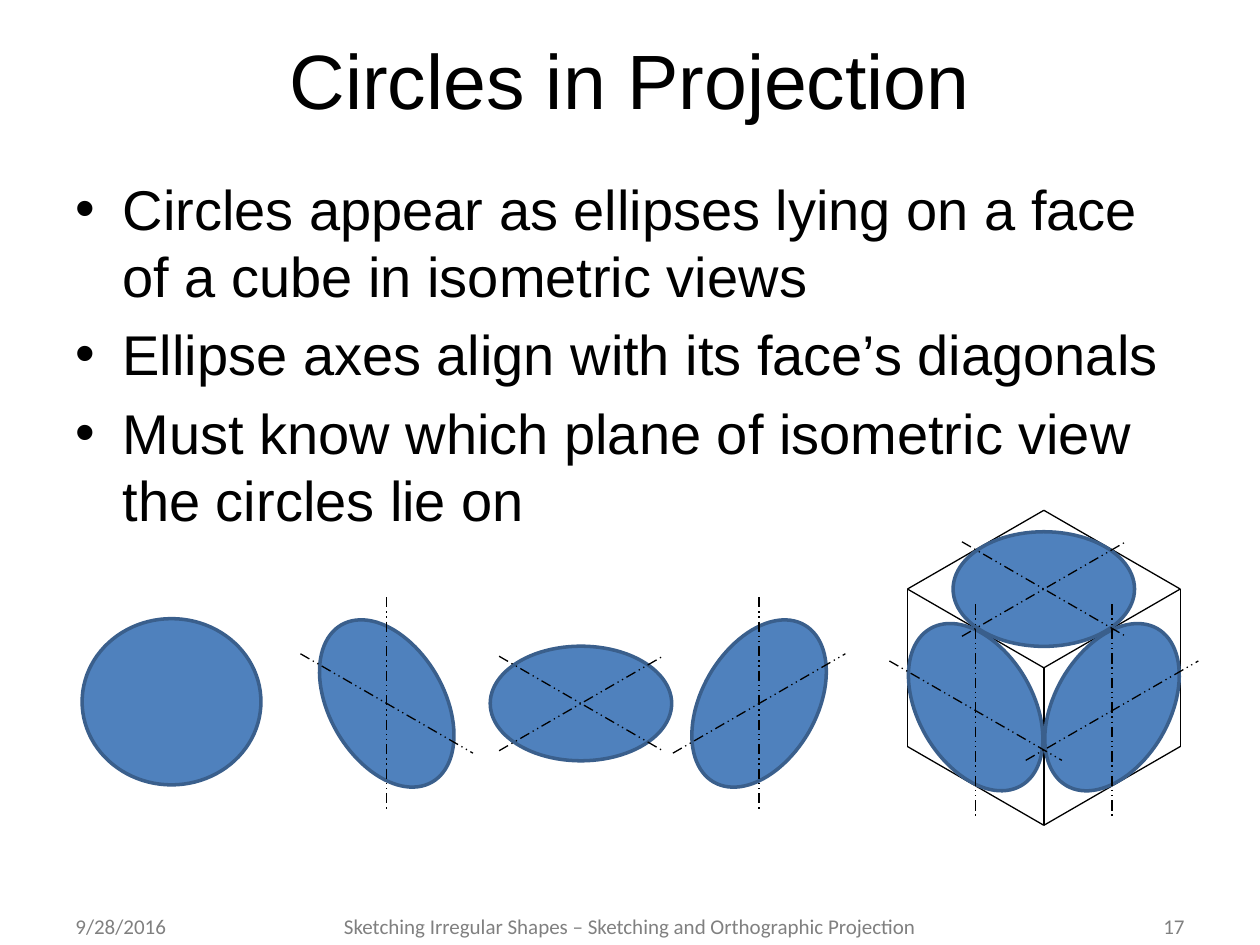
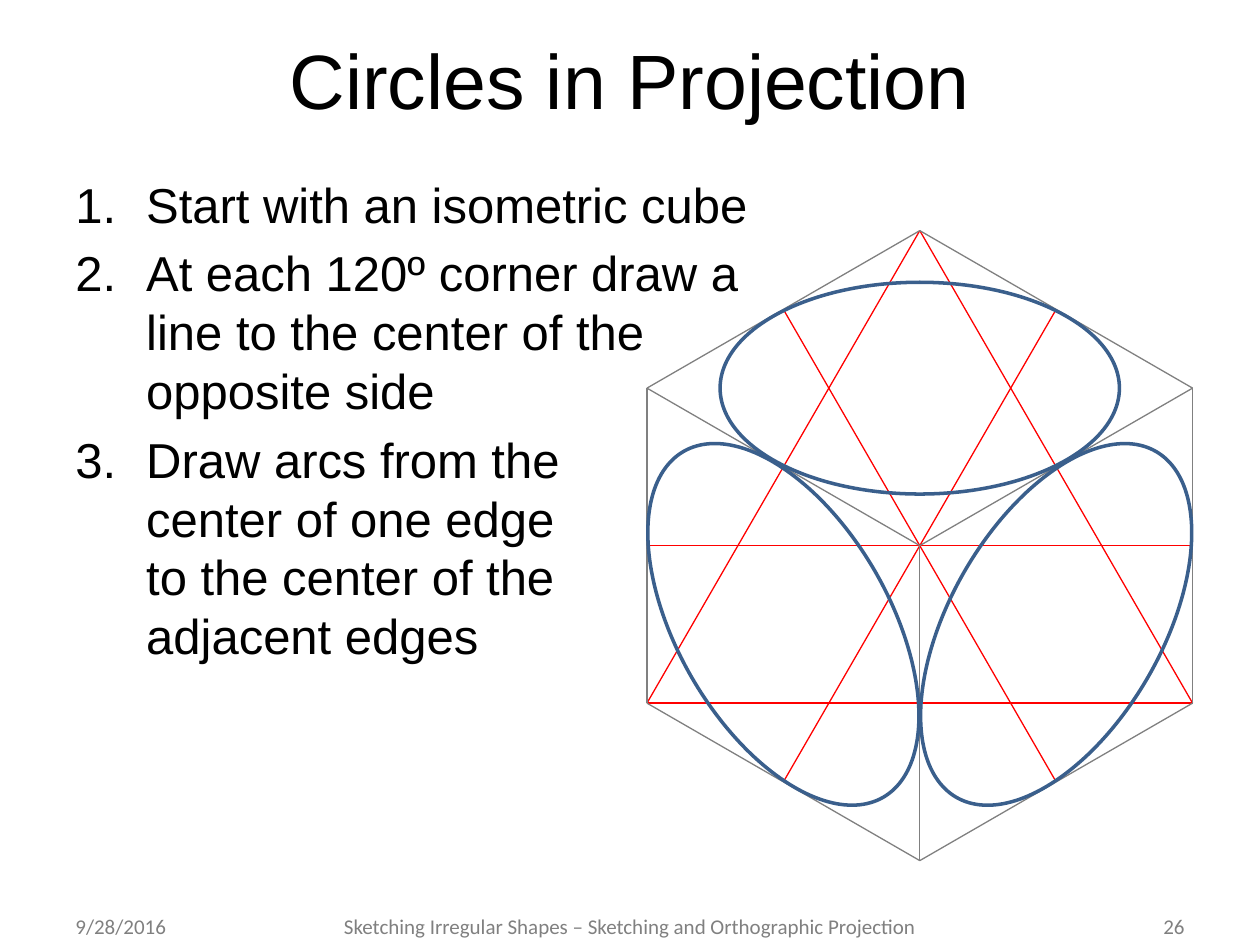
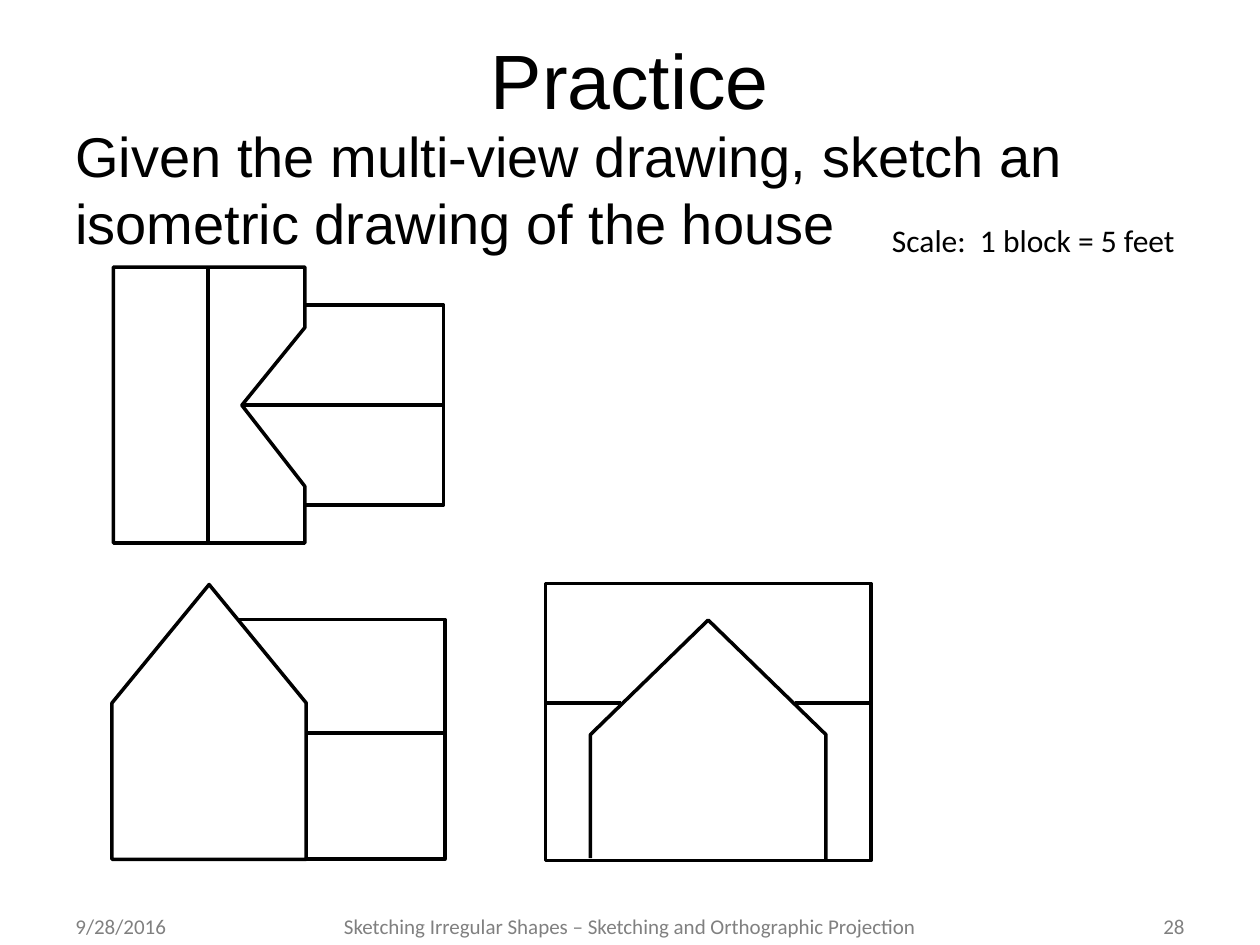
"""Build three slides on circles in isometric projection and a sketching exercise."""
from math import cos, radians

from lxml.etree import SubElement
from pptx import Presentation
from pptx.dml.color import RGBColor
from pptx.enum.dml import MSO_LINE
from pptx.enum.shapes import MSO_CONNECTOR, MSO_SHAPE
from pptx.enum.text import MSO_ANCHOR, PP_ALIGN
from pptx.oxml.ns import qn
from pptx.util import Pt

COLORS = {
    "text": "000000",
    "footer": "808080",
    "ink": "000000",
    "cube": "808080",
    "guide": "FF0000",
    "ellipse": "4F81BD",
    "edge": "3A5F8C",
}
FOOTER = "Sketching Irregular Shapes – Sketching and Orthographic Projection"
DATE = "9/28/2016"
FACES = ("left", "right", "top")
TILTS = {"left": 60, "right": 300, "top": 0}
AXES = {
    "left": ((49.3, 28.4), (0, 60.8)),
    "right": ((49.3, -28.4), (0, 60.8)),
    "top": ((46.8, 27), (46.8, -27)),
}


def color(name):
    """Return the named colour."""
    return RGBColor.from_string(COLORS[name])


def add_text(page, box, paragraphs, size, font="Arial", ink="text",
             align=PP_ALIGN.LEFT, anchor=MSO_ANCHOR.TOP, before=0):
    """Place paragraphs, whose lines are split by newlines, in a text box."""
    frame = page.shapes.add_textbox(*map(Pt, box)).text_frame
    frame.word_wrap = True
    frame.vertical_anchor = anchor
    for index, text in enumerate(paragraphs):
        para = frame.add_paragraph() if index else frame.paragraphs[0]
        para.alignment = align
        para.space_before = Pt(before)
        for number, line in enumerate(text.split("\n")):
            if number:
                para.add_line_break()
            span = para.add_run()
            span.text = line
            span.font.size = Pt(size)
            span.font.name = font
            span.font.color.rgb = color(ink)
    return frame


def add_list(page, box, items, size, indent, tag, **marker):
    """Place a list with hanging markers."""
    frame = add_text(page, box, items, size, before=size * 0.2)
    for para in frame.paragraphs:
        properties = para._p.get_or_add_pPr()
        properties.set("marL", str(Pt(indent)))
        properties.set("indent", str(-Pt(indent)))
        SubElement(properties, qn("a:buFont")).set("typeface", "Arial")
        bullet = SubElement(properties, qn(tag))
        for key, value in marker.items():
            bullet.set(key, value)


def style_shape(shape, line, width, fill=None):
    """Give a shape its outline and its fill, if any."""
    shape.shadow.inherit = False
    shape.line.color.rgb = color(line)
    shape.line.width = Pt(width)
    if fill:
        shape.fill.solid()
        shape.fill.fore_color.rgb = color(fill)
    else:
        shape.fill.background()


def add_line(page, start, end, ink="ink", width=0.75, dash=None):
    """Draw a straight line between two points."""
    line = page.shapes.add_connector(
        MSO_CONNECTOR.STRAIGHT, *map(Pt, (*start, *end)))
    line.line.color.rgb = color(ink)
    line.line.width = Pt(width)
    if dash:
        line.line.dash_style = dash
    SubElement(line._element.spPr, qn("a:effectLst"))


def add_ellipse(page, center, size, tilt=0, fill=None):
    """Draw an ellipse around its centre."""
    (x, y), (width, height) = center, size
    ellipse = page.shapes.add_shape(
        MSO_SHAPE.OVAL, Pt(x - width / 2), Pt(y - height / 2), Pt(width), Pt(height))
    ellipse.rotation = tilt
    style_shape(ellipse, "edge", 2, fill)


def add_axes(page, center, face, drop=0):
    """Draw the two dash-dot centre lines of a face."""
    x, y = center[0], center[1] + drop
    for dx, dy in AXES[face]:
        add_line(page, (x - dx, y - dy), (x + dx, y + dy),
                 dash=MSO_LINE.DASH_DOT_DOT)


def cube_points(center, edge):
    """Return a function from cube units to points on the slide."""
    half = edge * cos(radians(30))
    return lambda u, v: (center[0] + u * half, center[1] + v * edge)


def add_cube(page, center, edge, ink):
    """Draw the nine visible edges of an isometric cube."""
    place = cube_points(center, edge)
    outline = [(0, -1), (1, -0.5), (1, 0.5), (0, 1), (-1, 0.5), (-1, -0.5)]
    sides = list(zip(outline, outline[1:] + outline[:1]))
    spokes = [((0, 0), corner) for corner in outline[1::2]]
    for start, end in sides + spokes:
        add_line(page, place(*start), place(*end), ink)


def face_centers(center, edge):
    """Return the centre of each visible cube face."""
    place = cube_points(center, edge)
    return {"left": place(-0.5, 0.25), "right": place(0.5, 0.25), "top": place(0, -0.5)}


def add_guides(page, center, edge):
    """Draw construction lines from cube corners to opposite edge middles."""
    place = cube_points(center, edge)
    add_line(page, place(-1, 0), place(1, 0), "guide")
    add_line(page, place(-1, 0.5), place(1, 0.5), "guide")
    for side in (1, -1):
        add_line(page, place(-side / 2, -0.75), place(side / 2, 0.75), "guide")
        add_line(page, place(0, -1), place(side, 0.5), "guide")


def add_outline(page, origin, points, close=False):
    """Draw an unfilled outline relative to an origin."""
    corners = [(Pt(origin[0] + x), Pt(origin[1] + y)) for x, y in points]
    builder = page.shapes.build_freeform(*corners[0])
    builder.add_line_segments(corners[1:], close=close)
    style_shape(builder.convert_to_shape(), "ink", 2)


def add_view_line(page, origin, start, end):
    """Draw a house edge relative to the origin of its view."""
    x, y = origin
    add_line(page, (x + start[0], y + start[1]), (x + end[0], y + end[1]), width=2)


def add_top_view(page, origin):
    """Draw the house from above."""
    add_outline(page, origin, [(109.4, 21.6), (188.6, 21.6), (188.6, 136), (109.4, 136)])
    add_outline(page, origin, [(0, 0), (109.4, 0), (109.4, 34.6), (73.4, 79),
                               (109.4, 125.3), (109.4, 157.7), (0, 157.7)], close=True)
    add_view_line(page, origin, (54.2, 0), (54.2, 157.7))
    add_view_line(page, origin, (73.4, 78.8), (188.6, 78.8))


def add_front_view(page, origin):
    """Draw the house from the front."""
    add_outline(page, origin, [(0, 157), (0, 67.7), (55.5, 0), (111, 67.7),
                               (111, 157)], close=True)
    add_outline(page, origin, [(110.5, 157), (190.2, 157), (190.2, 20), (72, 20)])
    add_view_line(page, origin, (190.2, 85), (111, 85))


def add_side_view(page, origin, width, height):
    """Draw the house from the side."""
    wall = page.shapes.add_shape(
        MSO_SHAPE.RECTANGLE, *map(Pt, (*origin, width, height)))
    style_shape(wall, "ink", 2)
    middle, reach = width / 2, 67.3
    add_outline(page, origin, [
        (middle - reach, 157), (middle - reach, 86.4), (middle, 20.9),
        (middle + reach, 86.4), (middle + reach, height)])
    add_view_line(page, origin, (0, 68.4), (43.2, 68.4))
    add_view_line(page, origin, (width - 43.2, 68.4), (width, 68.4))


def add_page(deck, title, number):
    """Add a blank slide with its title and footer."""
    page = deck.slides.add_slide(deck.slide_layouts[6])
    add_text(page, (36, 0, 648, 90), [title], 44,
             align=PP_ALIGN.CENTER, anchor=MSO_ANCHOR.MIDDLE)
    for left, width, text, align in (
            (36, 168, DATE, PP_ALIGN.LEFT),
            (108, 504, FOOTER, PP_ALIGN.CENTER),
            (516, 168, str(number), PP_ALIGN.RIGHT)):
        add_text(page, (left, 520, width, 18), [text], 12, "Calibri", "footer",
                 align, MSO_ANCHOR.MIDDLE)
    return page


def build_ellipse_page(deck):
    """Show circles and the ellipses they become on a cube."""
    page = add_page(deck, "Circles in Projection", 17)
    add_list(page, (36, 96, 648, 414), [
        "Circles appear as ellipses lying on a face of a cube in isometric views",
        "Ellipse axes align with its face’s diagonals",
        "Must know which plane of isometric view the circles lie on",
    ], 32, 27, "a:buChar", char="•")
    cube, edge, size = (596.5, 381.6), 90, (103.7, 65.5)
    row = {"left": (221, 402), "right": (433.8, 402), "top": (332, 402)}
    on_cube = face_centers(cube, edge)
    add_cube(page, cube, edge, "ink")
    add_ellipse(page, (98, 401), (102.2, 95), fill="ellipse")
    for centers in (row, on_cube):
        for face in FACES:
            add_ellipse(page, centers[face], size, TILTS[face], "ellipse")
    for face in FACES:
        add_axes(page, row[face], face)
        add_axes(page, on_cube[face], face, drop=0 if face == "top" else 2)


def build_steps_page(deck):
    """Show the steps for drawing ellipses on an isometric cube."""
    page = add_page(deck, "Circles in Projection", 26)
    cube, edge = (525.6, 311.8), 180
    add_guides(page, cube, edge)
    add_list(page, (36, 96, 412, 414), [
        "Start with an isometric cube",
        "At each 120º corner draw a line to the center of the opposite side",
        "Draw arcs from the\ncenter of one edge\nto the center of the \nadjacent edges",
    ], 28, 40.5, "a:buAutoNum", type="arabicPeriod")
    add_cube(page, cube, edge, "cube")
    for face, center in face_centers(cube, edge).items():
        add_ellipse(page, center, (228.2, 121), TILTS[face])


def build_practice_page(deck):
    """Show three views of a house to sketch."""
    page = add_page(deck, "Practice", 28)
    add_text(page, (36, 66, 684, 90), [
        "Given the multi-view drawing, sketch an isometric drawing of the house",
    ], 32, before=6.4)
    add_text(page, (502.6, 123, 180, 29), ["Scale:  1 block = 5 feet"], 18, "Calibri")
    add_top_view(page, (64.8, 152.6))
    add_front_view(page, (64, 334))
    add_side_view(page, (311.8, 333.4), 185.8, 158.4)


def main():
    """Build and save the deck."""
    deck = Presentation()
    deck.slide_width, deck.slide_height = Pt(720), Pt(540)
    build_ellipse_page(deck)
    build_steps_page(deck)
    build_practice_page(deck)
    deck.save("out.pptx")


if __name__ == "__main__":
    main()
